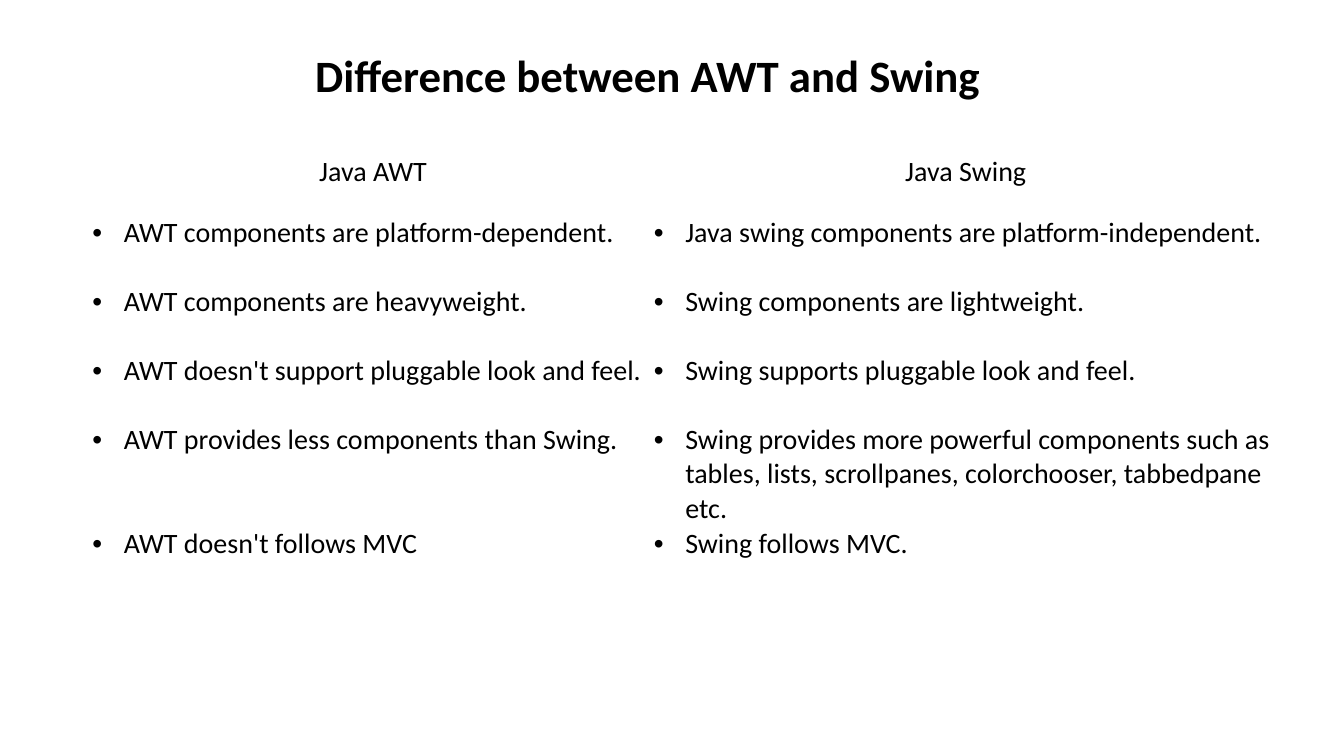
from lxml import etree
from pptx import Presentation
from pptx.dml.color import RGBColor
from pptx.enum.text import MSO_ANCHOR, PP_ALIGN
from pptx.oxml.ns import qn
from pptx.util import Pt

CENTER, LEFT = PP_ALIGN.CENTER, PP_ALIGN.LEFT
MIDDLE, TOP = MSO_ANCHOR.MIDDLE, MSO_ANCHOR.TOP
FONT = "Calibri"
COLORS = {"text": "000000", "paper": "FFFFFF"}
INDENT = 22.5

HEADERS = ("Java AWT", "Java Swing")
DIFFERENCES = [
    ("AWT components are platform-dependent.",
     "Java swing components are platform-independent."),
    ("AWT components are heavyweight.",
     "Swing components are lightweight."),
    ("AWT doesn't support pluggable look and feel.",
     "Swing supports pluggable look and feel."),
    ("AWT provides less components than Swing.",
     "Swing provides more powerful components such as tables, lists, "
     "scrollpanes, colorchooser, tabbedpane etc."),
    ("AWT doesn't follows MVC", "Swing follows MVC."),
]
COLUMN_WIDTHS = (401, 445.7)
ROW_HEIGHTS = (43.2, 49.3, 49.3, 49.3, 74.3, 87.4)


def color(name):
    return RGBColor.from_string(COLORS[name])


def write(p, text, size, align, bold=False):
    p.text = text
    p.alignment = align
    font = p.runs[0].font
    font.name, font.size, font.bold = FONT, Pt(size), bold
    font.color.rgb = color("text")


def add_bullet(p):
    pPr = p._p.get_or_add_pPr()
    pPr.set("marL", str(Pt(INDENT)))
    pPr.set("indent", str(-Pt(INDENT)))
    etree.SubElement(pPr, qn("a:buFont"), typeface="Arial")
    etree.SubElement(pPr, qn("a:buChar"), char="•")


def add_borders(cell):
    tcPr = cell._tc.get_or_add_tcPr()
    for i, side in enumerate(("lnL", "lnR", "lnT", "lnB")):
        ln = etree.Element(qn(f"a:{side}"), w=str(Pt(1)))
        fill = etree.SubElement(ln, qn("a:solidFill"))
        etree.SubElement(fill, qn("a:srgbClr"), val=COLORS["paper"])
        tcPr.insert(i, ln)


def add_title(s, text):
    tf = s.shapes.add_textbox(Pt(66), Pt(28.8), Pt(793.5), Pt(53.3)).text_frame
    tf.word_wrap = True
    tf.vertical_anchor = MIDDLE
    p = tf.paragraphs[0]
    write(p, text, 32, CENTER, bold=True)
    p.line_spacing = 0.9


def fill_cell(cell, text, is_header):
    cell.margin_left = cell.margin_right = 0
    cell.margin_top = cell.margin_bottom = 0
    cell.vertical_anchor = TOP
    cell.fill.solid()
    cell.fill.fore_color.rgb = color("paper")
    add_borders(cell)
    p = cell.text_frame.paragraphs[0]
    write(p, text, 20, CENTER if is_header else LEFT)
    if not is_header:
        add_bullet(p)


def add_comparison(s, rows):
    table = s.shapes.add_table(
        len(rows), len(COLUMN_WIDTHS), Pt(66), Pt(110.9),
        Pt(sum(COLUMN_WIDTHS)), Pt(sum(ROW_HEIGHTS))).table
    table.first_row = table.horz_banding = False
    for column, width in zip(table.columns, COLUMN_WIDTHS):
        column.width = Pt(width)
    for i, (height, texts) in enumerate(zip(ROW_HEIGHTS, rows)):
        table.rows[i].height = Pt(height)
        for j, text in enumerate(texts):
            fill_cell(table.cell(i, j), text, is_header=i == 0)


def main():
    prs = Presentation()
    prs.slide_width, prs.slide_height = Pt(960), Pt(540)
    s = prs.slides.add_slide(prs.slide_layouts[6])
    add_title(s, "Difference between AWT and Swing")
    add_comparison(s, [HEADERS, *DIFFERENCES])
    prs.save("out.pptx")


if __name__ == "__main__":
    main()
